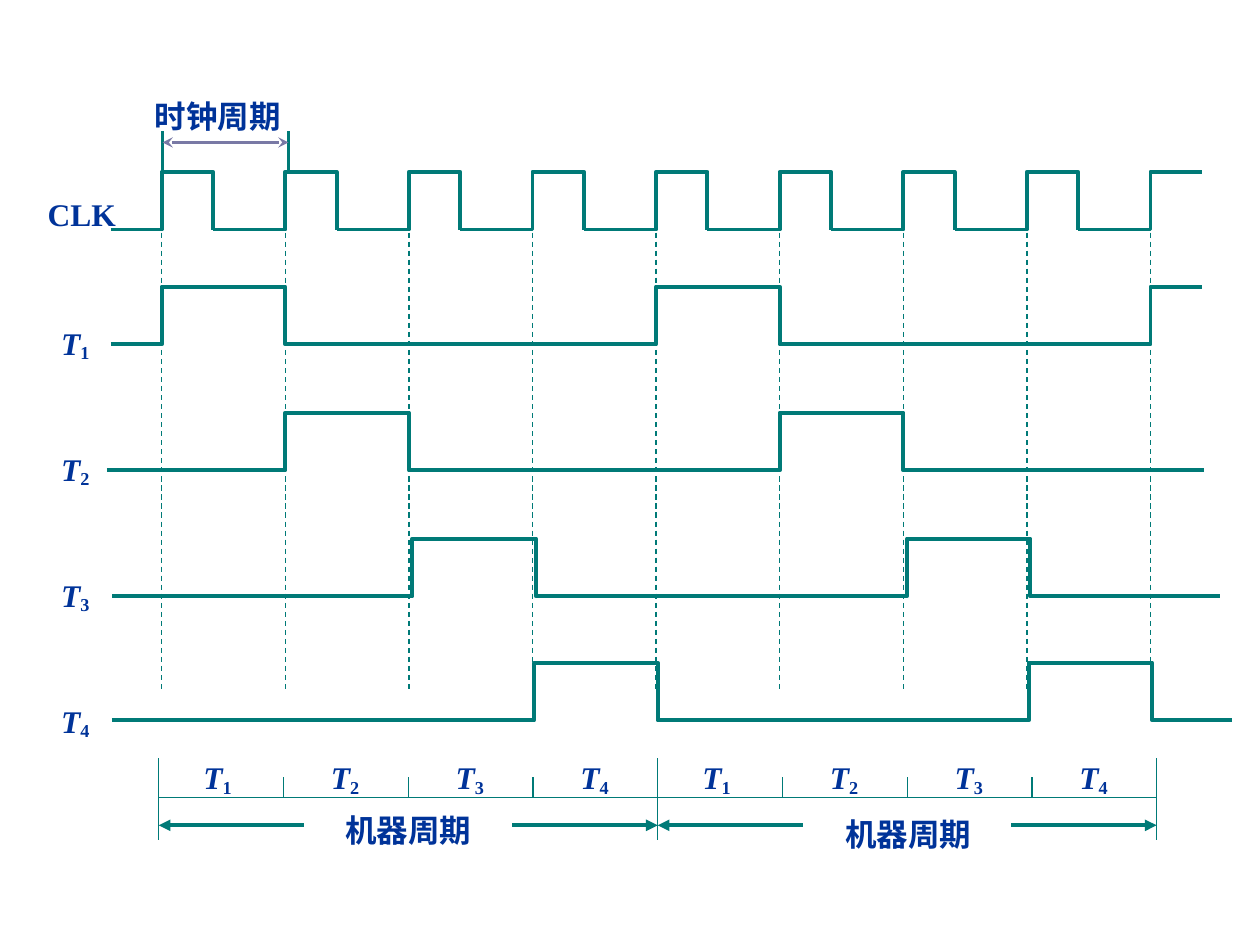
from lxml.etree import SubElement
from pptx import Presentation
from pptx.dml.color import RGBColor
from pptx.enum.dml import MSO_LINE_DASH_STYLE as Dash
from pptx.enum.shapes import MSO_CONNECTOR as Connector
from pptx.enum.text import MSO_AUTO_SIZE as AutoSize
from pptx.oxml.ns import qn
from pptx.util import Pt

TEAL = RGBColor(0x00, 0x7A, 0x77)
NAVY = RGBColor(0x00, 0x33, 0x99)
LILAC = RGBColor(0x79, 0x79, 0xA5)
FONT = "Times New Roman"

# Content: phase number, start x, end x, baseline y, sideways offset
PHASES = [
    (1, 63.4, 686.9, 196.8, 0),
    (2, 61, 688, 268.8, 0),
    (3, 64, 697, 340.8, 2),
    (4, 64, 704, 411.7, 1),
]
CLOCK_NAME = "CLK"
CLOCK_PERIOD = "时钟周期"
MACHINE_CYCLE = "机器周期"
CYCLE_BOXES = [(190.2, 460.1, 93.6), (476, 462.2, 89.3)]

# Grid
PERIODS = 8
PHASE_COUNT = len(PHASES)
EDGES = [92.4 + 70.63 * i for i in range(PERIODS + 1)]
TICKS = [90.7 + 71.28 * i for i in range(PERIODS + 1)]
CLOCK_START, CLOCK_LOW, HIGH_TIME, LOW_TIME = 63.4, 131.2, 29.3, 41.3
PULSE_HEIGHT = 33


def add_wave(shapes, points):
    builder = shapes.build_freeform(Pt(points[0][0]), Pt(points[0][1]), 1.0)
    builder.add_line_segments([(Pt(x), Pt(y)) for x, y in points[1:]], close=False)
    wave = builder.convert_to_shape()
    wave.shadow.inherit = False
    wave.fill.background()
    wave.line.color.rgb = TEAL
    wave.line.width = Pt(2.25)


def add_line(shapes, x1, y1, x2, y2, width=0.75, color=TEAL, head=None, tail=None):
    line = shapes.add_connector(Connector.STRAIGHT, Pt(x1), Pt(y1), Pt(x2), Pt(y2))
    line.line.color.rgb = color
    line.line.width = Pt(width)
    outline = line.line._get_or_add_ln()
    for tag, kind in (("a:headEnd", head), ("a:tailEnd", tail)):
        if kind:
            SubElement(outline, qn(tag), type=kind)
    SubElement(line._element.spPr, qn("a:effectLst"))
    return line


def add_label(shapes, text, left, top, width, height=29, subscript=None, wrap=True):
    box = shapes.add_textbox(Pt(left), Pt(top), Pt(width), Pt(height))
    frame = box.text_frame
    frame.word_wrap = wrap
    frame.auto_size = AutoSize.SHAPE_TO_FIT_TEXT
    para = frame.paragraphs[0]
    para.font.name, para.font.size, para.font.bold = FONT, Pt(18), True
    para.font.color.rgb = NAVY
    span = para.add_run()
    span.text = text
    if subscript:
        span.font.italic = True
        index = para.add_run()
        index.text = str(subscript)
        index._r.get_or_add_rPr().set("baseline", "-15000")


def add_phase_label(shapes, number, left, top):
    add_label(shapes, "T", left, top, 38, 30, subscript=number)


deck = Presentation()
deck.slide_width, deck.slide_height = Pt(720), Pt(540)
page = deck.slides.add_slide(deck.slide_layouts[6])

# Phase signals: each is high for one period of every machine cycle
for number, start, end, low, offset in PHASES:
    high = low - PULSE_HEIGHT
    points = [(start, low)]
    for i in range(number - 1, PERIODS + 1, PHASE_COUNT):
        rise = EDGES[i] + offset
        points += [(rise, low), (rise, high)]
        if i < PERIODS:
            fall = EDGES[i + 1] + offset
            points += [(fall, high), (fall, low)]
    points.append((end, points[-1][1]))
    add_wave(page.shapes, points)

# Signal names
add_label(page.shapes, CLOCK_NAME, 20.2, 108, 53.3, wrap=False)
for i in range(PHASE_COUNT):
    add_phase_label(page.shapes, i + 1, 27.8, 181.4 + 72 * i)

# Clock pulses and the dashed guides at their rising edges
clock = page.shapes.add_group_shape().shapes
clock_high = CLOCK_LOW - PULSE_HEIGHT
for i, edge in enumerate(EDGES):
    start, fall = max(CLOCK_START, edge - LOW_TIME), edge + HIGH_TIME
    pulse = [(start, CLOCK_LOW), (edge, CLOCK_LOW), (edge, clock_high), (fall, clock_high)]
    if i < PERIODS:
        pulse.append((fall, CLOCK_LOW))
    add_wave(clock, pulse)
for edge in EDGES:
    add_line(clock, edge, 112.3, edge, 395.3).line.dash_style = Dash.DASH

# Clock period dimension
period = page.shapes.add_group_shape().shapes
left, right = 92.9, 164.9
for x in (left, right):
    add_line(period, x, 75, x, 99.4, 1.5)
add_line(period, left, 81.4, right, 81.4, 1.5, LILAC, "stealth", "stealth")
add_label(period, CLOCK_PERIOD, 81.4, 51.8, 87.1)

# Ruler with ticks, long at the machine cycle limits
ruler = page.shapes.add_group_shape().shapes
add_line(ruler, TICKS[0], 455.8, TICKS[-1], 455.8)
for i, x in enumerate(TICKS):
    top, bottom = (444.2, 455.8) if i % PHASE_COUNT else (433.4, 480.2)
    add_line(ruler, x, top, x, bottom)

# Machine cycles
limits = TICKS[::PHASE_COUNT]
for first, last, (left, top, width) in zip(limits, limits[1:], CYCLE_BOXES):
    for tip, start in ((last, last - 83), (first, first + 83)):
        add_line(ruler, start, 471.6, tip, 471.6, 2.25, tail="triangle")
    add_label(ruler, MACHINE_CYCLE, left, top, width)

# Phase names between the ticks
for i, x in enumerate(TICKS[:-1]):
    phase = i % PHASE_COUNT
    add_phase_label(ruler, phase + 1, x + (20 if phase else 18.5), 429.8)

deck.save("out.pptx")
